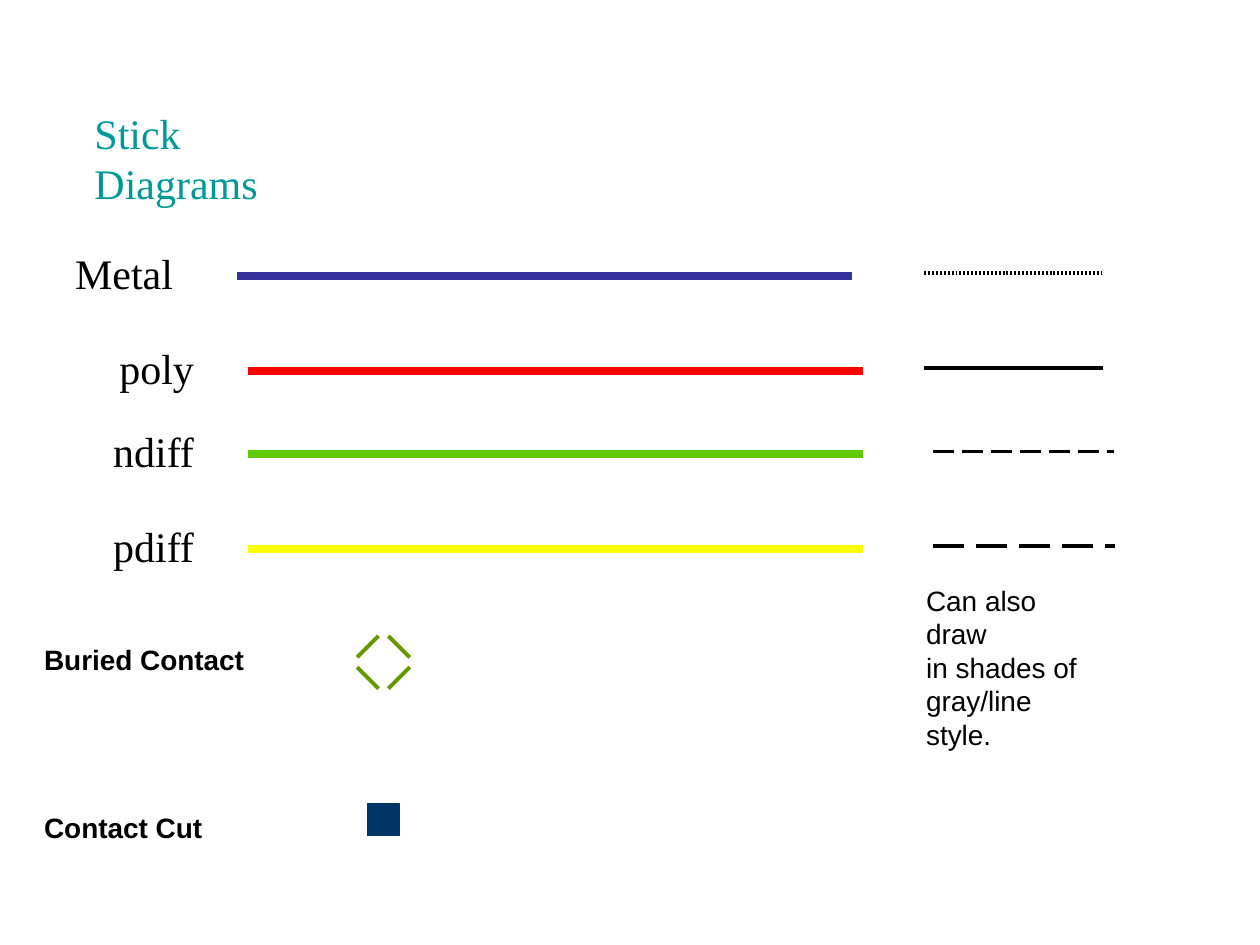
from lxml import etree
from pptx import Presentation
from pptx.dml.color import RGBColor
from pptx.enum.dml import MSO_LINE
from pptx.enum.shapes import MSO_CONNECTOR, MSO_SHAPE
from pptx.enum.text import MSO_ANCHOR, PP_ALIGN
from pptx.oxml.ns import qn
from pptx.util import Cm, Pt

LEFT, RIGHT = PP_ALIGN.LEFT, PP_ALIGN.RIGHT
LONG_DASH = MSO_LINE.LONG_DASH
SERIF, SANS = "Times New Roman", "Arial"
BLACK, TEAL, OLIVE, NAVY = "000000", "009999", "669900", "003366"

# Content: name, label right edge, stick left, stick colour,
# sample left, sample width in points, sample style, vertical position (cm)
TITLE = "Stick Diagrams"
LAYERS = [
    ("Metal", 3.74, 4.78, "333399", 18.63, 2.25, "dots", 5.56),
    ("poly", 4.16, 5.0, "FF0000", 18.63, 2.25, "solid", 7.47),
    ("ndiff", 4.16, 5.0, "60C900", 18.84, 1.5, "dashes", 9.16),
    ("pdiff", 4.16, 5.0, "FAFD00", 18.84, 2.25, "dashes", 11.06),
]
NOTE = ["Can also draw", "in shades of", "gray/line style."]
CONTACTS = [("Buried Contact", 12.83), ("Contact Cut", 16.21)]
STICK_LENGTH, SAMPLE_LENGTH, SAMPLE_RISE = 12.4, 3.6, 0.06
LABEL_WIDTH, LABEL_HEIGHT = 3.2, 1.27
SYMBOL_X = 7.73


def colour(value):
    return RGBColor.from_string(value)


def write(box, lines, size, font, ink, align=LEFT, bold=False, wrap=False):
    frame = box.text_frame
    frame.word_wrap = wrap
    frame.vertical_anchor = MSO_ANCHOR.TOP
    for index, line in enumerate(lines):
        para = frame.paragraphs[0] if index == 0 else frame.add_paragraph()
        para.alignment = align
        span = para.add_run()
        span.text = line
        span.font.size = Pt(size)
        span.font.name = font
        span.font.bold = bold
        span.font.color.rgb = colour(ink)


def add_text(page, x, y, width, height, lines, *style, **options):
    box = page.shapes.add_textbox(Cm(x), Cm(y), Cm(width), Cm(height))
    write(box, lines, *style, **options)


def add_line(page, x1, y1, x2, y2, ink, width, style="solid"):
    line = page.shapes.add_connector(
        MSO_CONNECTOR.STRAIGHT, Cm(x1), Cm(y1), Cm(x2), Cm(y2))
    line.line.color.rgb = colour(ink)
    line.line.width = Pt(width)
    outline = line.line._get_or_add_ln()
    if style == "dashes":
        line.line.dash_style = LONG_DASH
        outline.set("cap", "sq")
    elif style == "dots":
        dash = etree.SubElement(outline, qn("a:custDash"))
        etree.SubElement(dash, qn("a:ds"), d="50000", sp="50000")
    etree.SubElement(line._element.spPr, qn("a:effectLst"))


deck = Presentation()
deck.slide_width, deck.slide_height = Cm(25.4), Cm(19.05)
page = deck.slides.add_slide(deck.slide_layouts[5])

# Title
title = page.shapes.title
title.left, title.top, title.width, title.height = (
    Cm(1.65), Cm(2.03), Cm(5.74), Cm(1.27))
write(title, [TITLE], 24, SERIF, TEAL)

# Layer labels, coloured sticks and line style samples
for name, edge, stick_x, ink, sample_x, width, style, y in LAYERS:
    add_text(page, edge - LABEL_WIDTH, y - 0.7, LABEL_WIDTH, LABEL_HEIGHT,
             [name], 24, SERIF, BLACK, align=RIGHT, wrap=True)
    add_line(page, stick_x, y, stick_x + STICK_LENGTH, y, ink, 4.5)
    sample_y = y - SAMPLE_RISE
    add_line(page, sample_x, sample_y, sample_x + SAMPLE_LENGTH, sample_y,
             BLACK, width, style)

# Note on line styles
add_text(page, 18.42, 11.63, 4.09, 2.29, NOTE, 16, SANS, BLACK)

# Contact labels
for name, y in CONTACTS:
    add_text(page, 0.64, y, 5.28, 0.94, [name], 16, SANS, BLACK,
             bold=True, wrap=True)

# Buried contact: four strokes of an open diamond
centre_y, near, far = 13.35, 0.1, 0.53
for side in (-1, 1):
    for rise in (-1, 1):
        add_line(page, SYMBOL_X + side * far, centre_y + rise * near,
                 SYMBOL_X + side * near, centre_y + rise * far, OLIVE, 2.25)

# Contact cut: filled square
square = 0.64
cut = page.shapes.add_shape(MSO_SHAPE.RECTANGLE, Cm(SYMBOL_X - square / 2),
                            Cm(16.21), Cm(square), Cm(square))
cut.shadow.inherit = False
cut.fill.solid()
cut.fill.fore_color.rgb = colour(NAVY)
cut.line.color.rgb = colour(NAVY)
cut.line.width = Pt(0.75)

deck.save("out.pptx")
